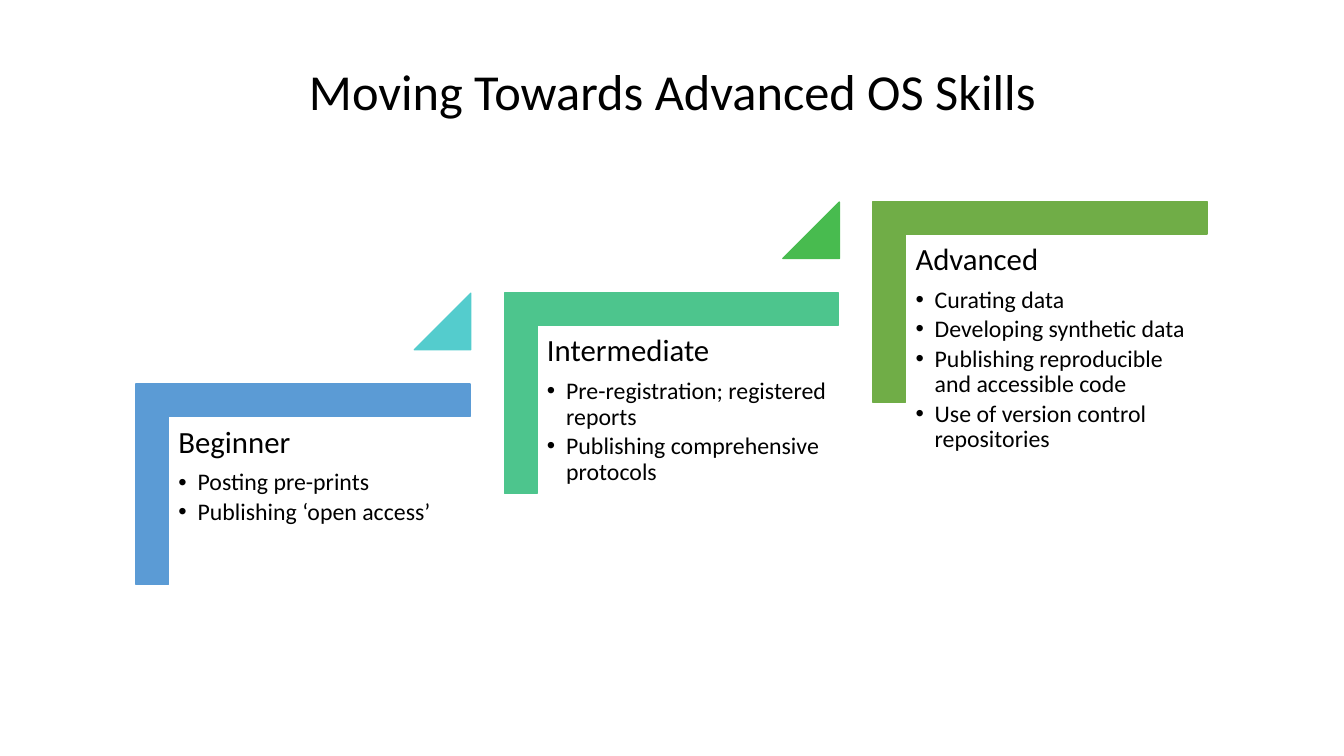
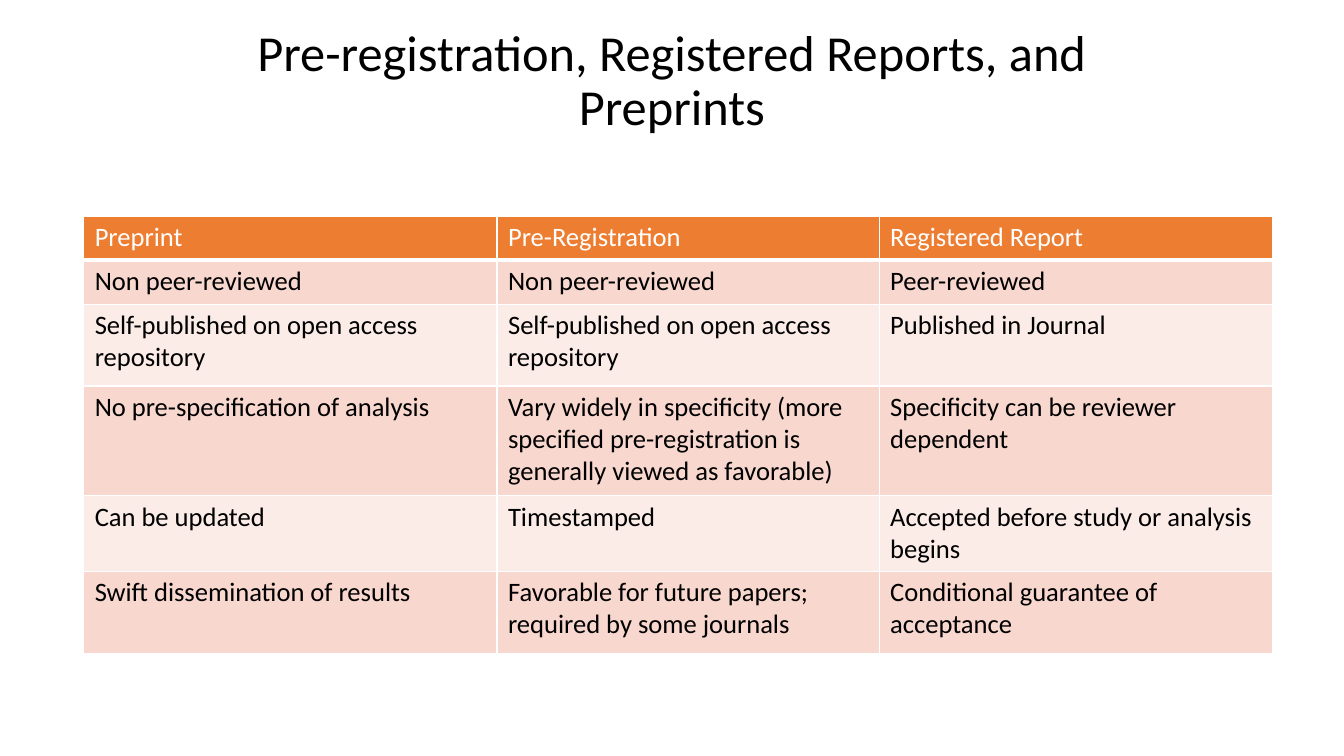
from lxml.etree import SubElement
from pptx import Presentation
from pptx.dml.color import RGBColor
from pptx.enum.shapes import MSO_SHAPE
from pptx.enum.text import MSO_ANCHOR, MSO_AUTO_SIZE, PP_ALIGN
from pptx.oxml.ns import qn
from pptx.util import Inches, Pt

FONT = "Calibri"
COLORS = {
    "text": "000000",
    "white": "FFFFFF",
    "blue": "5B9BD5",
    "cyan": "54CCCD",
    "mint": "4DC58D",
    "green": "48BB4F",
    "olive": "70AD47",
    "header": "ED7D31",
    "band_dark": "F8D7CE",
    "band_light": "FCECE8",
}

# Heading, bracket colour, colour of the triangle leading on, skills
STAIRS = [
    ("Beginner", "blue", "cyan",
     ["Posting pre-prints", "Publishing ‘open access’"]),
    ("Intermediate", "mint", "green",
     ["Pre-registration; registered reports",
      "Publishing comprehensive protocols"]),
    ("Advanced", "olive", None,
     ["Curating data", "Developing synthetic data",
      "Publishing reproducible and accessible code",
      "Use of version control repositories"]),
]
STAIR_LEFT, STAIR_TOP = 2.01, 3.15
STAIR_RUN, STAIR_RISE = 7.31 / 2, 1.81 / 2

COLUMN_WIDTHS = [4.1, 3.79, 3.9]
ROW_HEIGHTS = [0.43, 0.44, 0.81, 1.09, 0.75, 0.81]
COMPARISON = [
    ["Preprint", "Pre-Registration", "Registered Report"],
    ["Non peer-reviewed", "Non peer-reviewed", "Peer-reviewed"],
    ["Self-published on open access repository",
     "Self-published on open access repository", "Published in Journal"],
    ["No pre-specification of analysis",
     "Vary widely in specificity (more specified pre-registration is "
     "generally viewed as favorable)",
     "Specificity can be reviewer dependent"],
    ["Can be updated", "Timestamped",
     "Accepted before study or analysis begins"],
    ["Swift dissemination of results",
     "Favorable for future papers; required by some journals",
     "Conditional guarantee of acceptance"],
]


def color(name):
    """Return the named colour."""
    return RGBColor.from_string(COLORS[name])


def format_para(para, size, color_name="text"):
    """Set font, size and colour of every run in a paragraph."""
    for span in para.runs:
        span.font.name = FONT
        span.font.size = Pt(size)
        span.font.color.rgb = color(color_name)


def add_titled_page(deck, title, bounds, anchor):
    """Add a title-only slide with a centred title."""
    page = deck.slides.add_slide(deck.slide_layouts[5])
    box = page.shapes.title
    box.left, box.top, box.width, box.height = map(Inches, bounds)
    frame = box.text_frame
    frame.text = title
    frame.word_wrap = True
    frame.auto_size = MSO_AUTO_SIZE.NONE
    frame.vertical_anchor = anchor
    para = frame.paragraphs[0]
    para.alignment = PP_ALIGN.CENTER
    para.line_spacing = 0.9
    format_para(para, 36)
    return page


def add_flat_shape(group, kind, bounds, color_name, adjustments):
    """Add a shape whose fill and outline share one colour."""
    shape = group.shapes.add_shape(kind, *map(Inches, bounds))
    for index, value in enumerate(adjustments):
        shape.adjustments[index] = value
    shape.shadow.inherit = False
    shape.fill.solid()
    shape.fill.fore_color.rgb = color(color_name)
    shape.line.color.rgb = color(color_name)
    shape.line.width = Pt(1)
    return shape


def add_bullet(para):
    """Give a paragraph a bullet with a hanging indent."""
    properties = para._p.get_or_add_pPr()
    properties.set("marL", str(Inches(0.19)))
    properties.set("indent", str(-Inches(0.19)))
    SubElement(properties, qn("a:buFont")).set("typeface", "Arial")
    SubElement(properties, qn("a:buChar")).set("char", "•")


def add_skill_list(group, left, top, heading, skills):
    """Add a heading followed by bulleted skills."""
    box = group.shapes.add_textbox(
        Inches(left), Inches(top), Inches(2.99), Inches(2.62))
    frame = box.text_frame
    frame.word_wrap = True
    frame.margin_left = frame.margin_right = Inches(0.09)
    frame.margin_top = frame.margin_bottom = Inches(0.09)
    frame.text = "\n".join([heading, *skills])
    for index, para in enumerate(frame.paragraphs):
        size, gap = (17, 0.15) if index else (22, 0.35)
        para.line_spacing = 0.9
        para.space_after = Pt(size * gap)
        format_para(para, size)
        if index:
            para.level = 1
            add_bullet(para)


def add_staircase(page):
    """Draw the rising skill levels."""
    group = page.shapes.add_group_shape()
    for index, (heading, bracket, triangle, skills) in enumerate(STAIRS):
        left = STAIR_LEFT + index * STAIR_RUN
        top = STAIR_TOP - index * STAIR_RISE
        corner = add_flat_shape(group, MSO_SHAPE.CORNER,
                                (left, top, 1.99, 3.31), bracket,
                                [0.161, 0.161])
        corner.rotation = 90
        add_skill_list(group, left - 0.33, top + 0.99, heading, skills)
        if triangle:
            add_flat_shape(group, MSO_SHAPE.ISOSCELES_TRIANGLE,
                           (left + 2.1, top - 0.24, 0.56, 0.56),
                           triangle, [1])


def add_cell_borders(cell, bottom_width):
    """Outline a cell in white."""
    properties = cell._tc.get_or_add_tcPr()
    widths = {"lnL": 1, "lnR": 1, "lnT": 1, "lnB": bottom_width}
    for side, width in widths.items():
        line = SubElement(properties, qn(f"a:{side}"))
        line.set("w", str(Pt(width)))
        fill = SubElement(line, qn("a:solidFill"))
        SubElement(fill, qn("a:srgbClr")).set("val", COLORS["white"])


def format_cell(cell, text, is_header, fill_name):
    """Write and style one table cell."""
    cell.text = text
    cell.margin_left = cell.margin_right = Inches(0.11)
    cell.margin_top = cell.margin_bottom = Inches(0.05)
    add_cell_borders(cell, 3 if is_header else 1)
    cell.fill.solid()
    cell.fill.fore_color.rgb = color(fill_name)
    format_para(cell.text_frame.paragraphs[0], 19,
                "white" if is_header else "text")


def add_comparison(page):
    """Add the banded comparison table."""
    table = page.shapes.add_table(
        len(ROW_HEIGHTS), len(COLUMN_WIDTHS), Inches(0.83), Inches(2.15),
        Inches(sum(COLUMN_WIDTHS)), Inches(sum(ROW_HEIGHTS))).table
    table.first_row = table.horz_banding = False
    for column, width in zip(table.columns, COLUMN_WIDTHS):
        column.width = Inches(width)
    for index, (row, height) in enumerate(zip(table.rows, ROW_HEIGHTS)):
        row.height = Inches(height)
        band = "band_dark" if index % 2 else "band_light"
        fill_name = band if index else "header"
        for cell, text in zip(row.cells, COMPARISON[index]):
            format_cell(cell, text, index == 0, fill_name)


def main():
    """Build and save the deck."""
    deck = Presentation()
    deck.slide_width, deck.slide_height = Inches(13.33), Inches(7.5)
    page = add_titled_page(deck, "Moving Towards Advanced OS Skills",
                           (0.92, 0.61, 11.5, 1.24), MSO_ANCHOR.TOP)
    add_staircase(page)
    page = add_titled_page(
        deck, "Pre-registration, Registered Reports, and Preprints",
        (2.3, 0.34, 8.73, 0.95), MSO_ANCHOR.MIDDLE)
    add_comparison(page)
    deck.save("out.pptx")


main()
